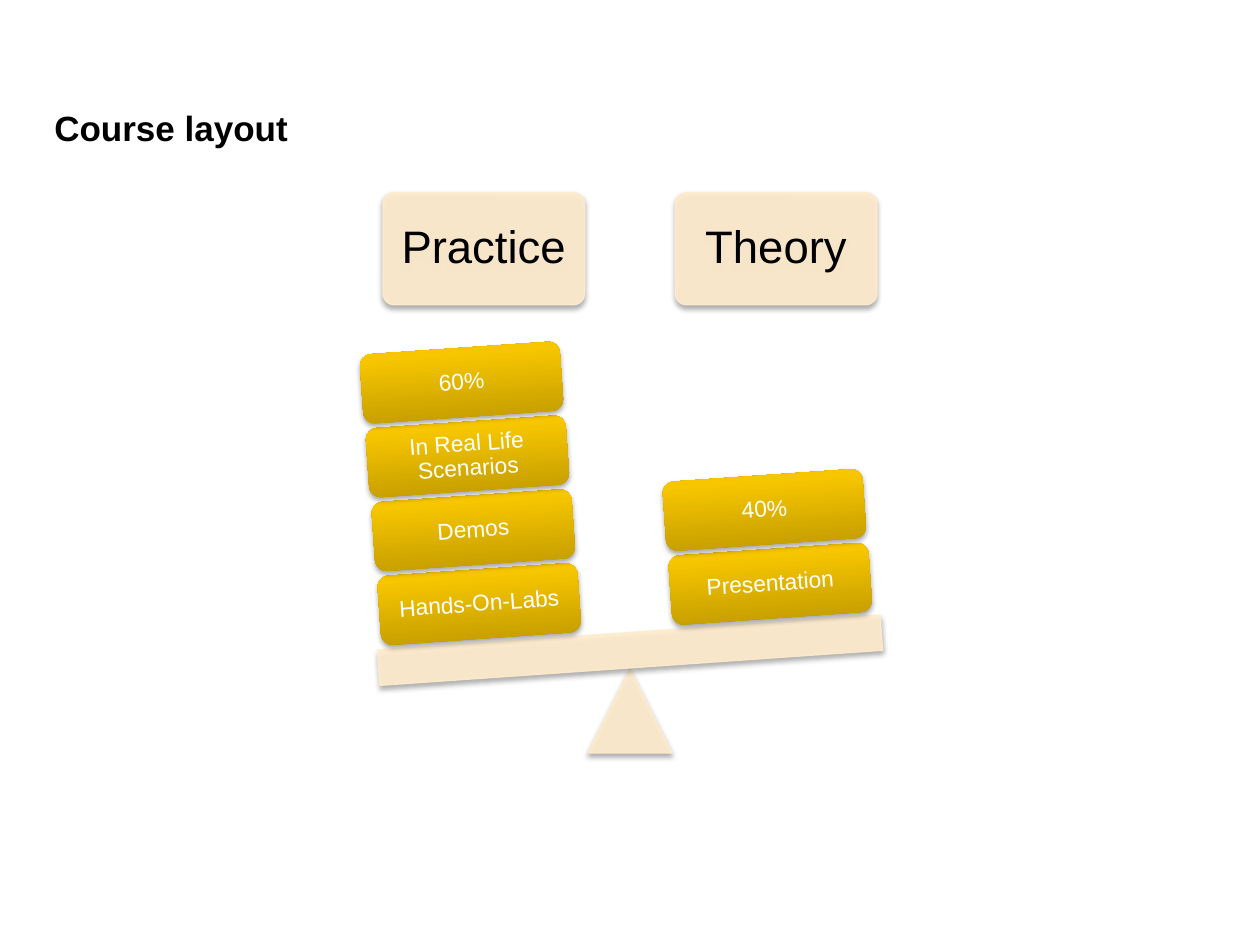
import copy

import lxml.etree
import pptx
import pptx.dml.color
import pptx.enum.shapes
import pptx.enum.text
import pptx.oxml.ns
import pptx.util

Pt = pptx.util.Pt
qn = pptx.oxml.ns.qn
SHAPES = pptx.enum.shapes.MSO_SHAPE
ALIGN = pptx.enum.text.PP_ALIGN
COLOURS = {
    "ink": "000000",
    "cream": "FFECCC",
    "gold_dark": "BE9800",
    "gold": "F7C600",
    "gold_light": "F8C700",
    "white": "FFFFFF",
}
GOLD_STOPS = [(0, "gold_dark"), (0.8, "gold"), (1, "gold_light")]
TILT = 356
HEADER_SIZE = (115.2, 64)
BLOCK_SIZE = (114.5, 39.6)
BLOCK_STEP = (-3.37, -42.2)
# heading, heading left, lowest block's left and top, blocks from the bottom up
SIDES = [
    ("Practice", 218.9, (216.6, 325.4),
     ["Hands-On-Labs", "Demos", "In Real Life Scenarios", "60%"]),
    ("Theory", 385.9, (382.9, 313.8), ["Presentation", "40%"]),
]


def colour(name):
    """Return the named colour as an RGB value."""
    return pptx.dml.color.RGBColor.from_string(COLOURS[name])


def set_all(target, values):
    """Set each attribute of target from a dict."""
    for name, value in values.items():
        setattr(target, name, value)


def write(shape, text, size, ink, inset, align=ALIGN.CENTER, bold=False):
    """Put one formatted paragraph in a shape."""
    frame = shape.text_frame
    margins = {f"margin_{side}": Pt(inset)
               for side in ("left", "top", "right", "bottom")}
    set_all(frame, {"word_wrap": True,
                    "auto_size": pptx.enum.text.MSO_AUTO_SIZE.NONE,
                    "vertical_anchor": pptx.enum.text.MSO_ANCHOR.MIDDLE,
                    **margins})
    para = frame.paragraphs[0]
    set_all(para, {"alignment": align, "line_spacing": 0.9})
    span = para.add_run()
    span.text = text
    set_all(span.font, {"name": "Arial", "size": Pt(size), "bold": bold})
    span.font.color.rgb = colour(ink)


def add_shadow(shape):
    """Give a shape a soft shadow straight below it."""
    shape.shadow.inherit = False
    effects = shape._element.spPr.find(qn("a:effectLst"))
    shadow = lxml.etree.SubElement(
        effects, qn("a:outerShdw"), blurRad=str(Pt(3.1)), dist=str(Pt(1.8)),
        dir="5400000", rotWithShape="0")
    tint = lxml.etree.SubElement(shadow, qn("a:srgbClr"), val=COLOURS["ink"])
    lxml.etree.SubElement(tint, qn("a:alpha"), val="35000")


def add_piece(page, kind, left, top, width, height, rotation=0):
    """Add a preset shape with rounded corners where it has them."""
    shape = page.shapes.add_shape(
        kind, Pt(left), Pt(top), Pt(width), Pt(height))
    shape.rotation = rotation
    if kind == SHAPES.ROUNDED_RECTANGLE:
        shape.adjustments[0] = 0.1 if rotation == 0 else 0.1667
    return shape


def add_cream(page, *place):
    """Add a slightly transparent cream piece with a shadow."""
    shape = add_piece(page, *place)
    shape.fill.solid()
    shape.fill.fore_color.rgb = colour("cream")
    shape.line.color.rgb = colour("cream")
    shape.line.width = Pt(0.75)
    for tint in shape._element.spPr.iter(qn("a:srgbClr")):
        lxml.etree.SubElement(tint, qn("a:alpha"), val="90000")
    add_shadow(shape)
    return shape


def add_block(page, text, left, top):
    """Add a tilted gold block with its label."""
    shape = add_piece(page, SHAPES.ROUNDED_RECTANGLE, left, top,
                      *BLOCK_SIZE, TILT)
    shape.fill.gradient()
    shape.fill.gradient_angle = 90
    stops = shape._element.spPr.find(".//" + qn("a:gsLst"))
    stops.append(copy.deepcopy(stops[-1]))
    for stop, (position, name) in zip(shape.fill.gradient_stops, GOLD_STOPS):
        stop.position = position
        stop.color.rgb = colour(name)
    shape.line.fill.background()
    add_shadow(shape)
    write(shape, text, 13, "white", 3.6)


def add_title(page, text):
    """Place and format the title."""
    title = page.shapes.title
    set_all(title, {"left": Pt(31), "top": Pt(60.5),
                    "width": Pt(658), "height": Pt(28)})
    write(title, text, 20, "ink", 0, ALIGN.LEFT, True)


def main():
    """Build the slide with the balance."""
    deck = pptx.Presentation()
    set_all(deck, {"slide_width": Pt(720), "slide_height": Pt(540)})
    page = deck.slides.add_slide(deck.slide_layouts[5])
    add_title(page, "Course layout")
    for heading, left, _, _ in SIDES:
        header = add_cream(page, SHAPES.ROUNDED_RECTANGLE, left, 110.2,
                           *HEADER_SIZE)
        write(header, heading, 26, "ink", 7.9)
    add_cream(page, SHAPES.ISOSCELES_TRIANGLE, 336, 382.3, 48, 48)
    add_cream(page, SHAPES.RECTANGLE, 216, 361.5, 288, 20.2, TILT)
    for _, _, (left, top), labels in SIDES:
        for level, label in enumerate(labels):
            add_block(page, label, left + level * BLOCK_STEP[0],
                      top + level * BLOCK_STEP[1])
    deck.save("out.pptx")


main()
